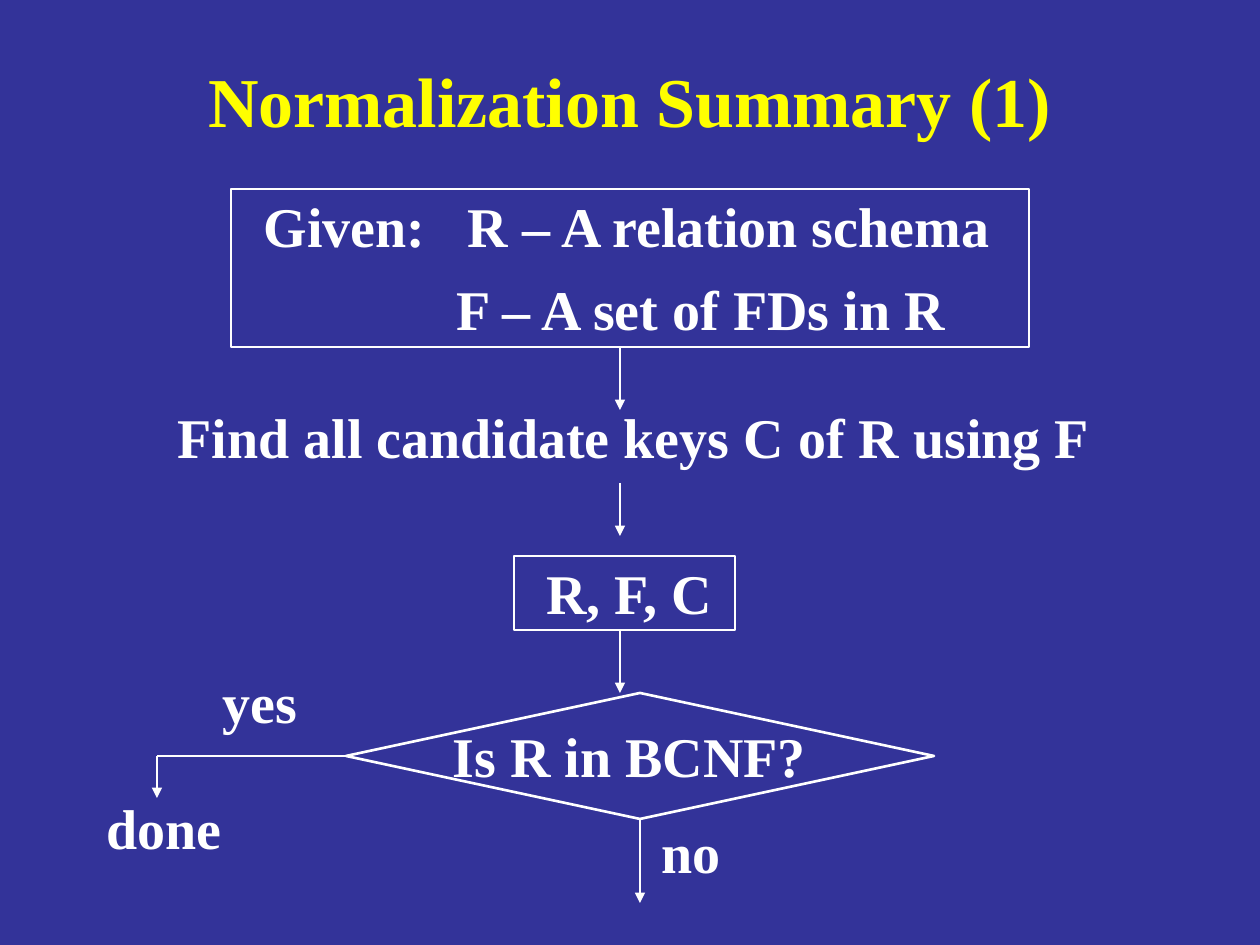
from lxml.etree import SubElement
from pptx import Presentation
from pptx.dml.color import RGBColor
from pptx.enum.shapes import MSO_CONNECTOR, MSO_SHAPE
from pptx.enum.text import MSO_ANCHOR, MSO_AUTO_SIZE, PP_ALIGN
from pptx.oxml.ns import qn
from pptx.util import Emu, Pt

BLUE = RGBColor(0x33, 0x33, 0x99)
YELLOW = RGBColor(0xFF, 0xFF, 0x00)
WHITE = RGBColor(0xFF, 0xFF, 0xFF)
PX_PER_INCH = 126


def px(*lengths):
    return [Emu(round(n * 914400 / PX_PER_INCH)) for n in lengths]


def add_text(paragraph, text, size=32, color=WHITE):
    run = paragraph.add_run()
    run.text = text
    run.font.name = "Times New Roman"
    run.font.size = Pt(size)
    run.font.bold = True
    run.font.color.rgb = color
    return run


prs = Presentation()
prs.slide_width, prs.slide_height = px(1260, 945)
slide = prs.slides.add_slide(prs.slide_layouts[1])
slide.background.fill.solid()
slide.background.fill.fore_color.rgb = BLUE

# Title
title = slide.shapes.title
title.left, title.top, title.width, title.height = px(94, 42, 1071, 116)
title.text_frame.vertical_anchor = MSO_ANCHOR.MIDDLE
title.text_frame.auto_size = MSO_AUTO_SIZE.NONE
title.text_frame.paragraphs[0].alignment = PP_ALIGN.CENTER
add_text(title.text_frame.paragraphs[0], "Normalization Summary (1)", 40, YELLOW)

# Flow steps: runs, first-line indent in px, space before in pt, alignment
steps = [
    (["Given:", " ", "R – A relation schema"], 157, 0, PP_ALIGN.LEFT),
    (["F – A set of FDs in R"], 350, 8.8, PP_ALIGN.LEFT),
    (["Find all candidate keys C of R using F"], 71, 34.8, PP_ALIGN.LEFT),
    (["R, F, C"], 0, 50.8, PP_ALIGN.CENTER),
    (["Is R in BCNF?"], 0, 54.8, PP_ALIGN.CENTER),
]
WIDE_SPACE = "1600"  # extra character spacing in hundredths of a point
body = slide.placeholders[1]
body.left, body.top, body.width, body.height = px(94, 179, 1071, 693)
body.text_frame.auto_size = MSO_AUTO_SIZE.NONE
body.text_frame.margin_top = px(13)[0]
for i, (texts, indent, space, alignment) in enumerate(steps):
    step = body.text_frame.paragraphs[0] if i == 0 else body.text_frame.add_paragraph()
    step.alignment = alignment
    step.space_before = Pt(space)
    props = step._p.get_or_add_pPr()
    props.set("marL", "0")
    props.set("indent", str(px(indent)[0]))
    SubElement(props, qn("a:buNone"))
    for text in texts:
        run = add_text(step, text)
        if text == " ":
            run._r.get_or_add_rPr().set("spc", WIDE_SPACE)

# Outlines around the given input, the key set and the decision
outlines = [
    (MSO_SHAPE.RECTANGLE, 231, 189, 798, 158),
    (MSO_SHAPE.RECTANGLE, 514, 556, 221, 74),
    (MSO_SHAPE.DIAMOND, 346, 693, 588, 126),
]
for kind, *box in outlines:
    outline = slide.shapes.add_shape(kind, *px(*box))
    outline.shadow.inherit = False
    outline.fill.background()
    outline.line.color.rgb = WHITE
    outline.line.width = Pt(1.5)
decision = outline

# Flow lines: start, end, arrowhead, connection site on the decision
flows = [
    (620, 347, 620, 410, True, None),
    (620, 483, 620, 536, True, None),
    (620, 630, 620, 693, True, None),
    (640, 819, 640, 903, True, 2),
    (346, 756, 157, 756, False, 1),
    (157, 756, 157, 798, True, None),
]
for *ends, has_arrow, site in flows:
    flow = slide.shapes.add_connector(MSO_CONNECTOR.STRAIGHT, *px(*ends))
    if site is not None:
        flow.begin_connect(decision, site)
    flow.line.color.rgb = WHITE
    flow.line.width = Pt(1.5)
    if has_arrow:
        SubElement(flow.line._get_or_add_ln(), qn("a:tailEnd"), type="triangle")
    SubElement(flow._element.spPr, qn("a:effectLst"))

# Branch labels
labels = [
    ("done", 94, 787, 144),
    ("no", 649, 811, 86),
    ("yes", 210, 661, 102),
]
for text, left, top, width in labels:
    label = slide.shapes.add_textbox(*px(left, top, width, 81)).text_frame
    label.word_wrap = False
    label.auto_size = MSO_AUTO_SIZE.SHAPE_TO_FIT_TEXT
    add_text(label.paragraphs[0], text)

prs.save("out.pptx")
